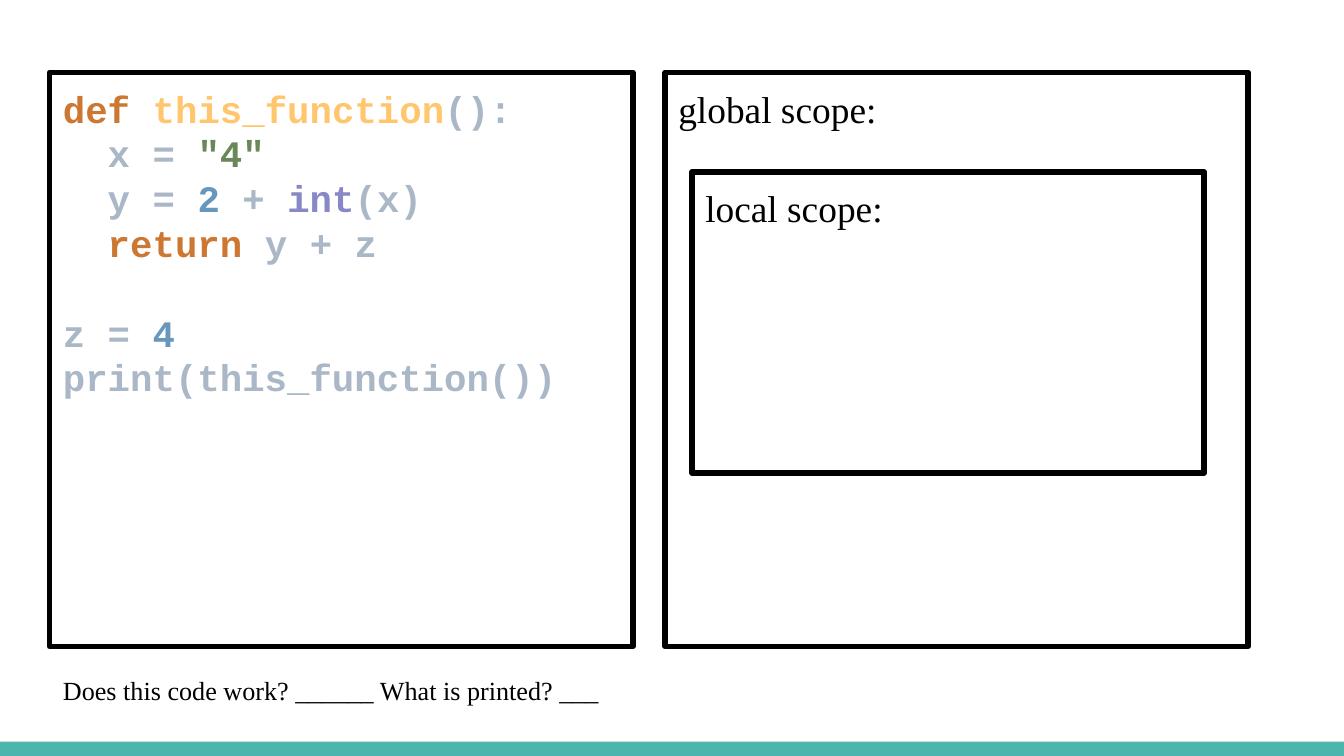
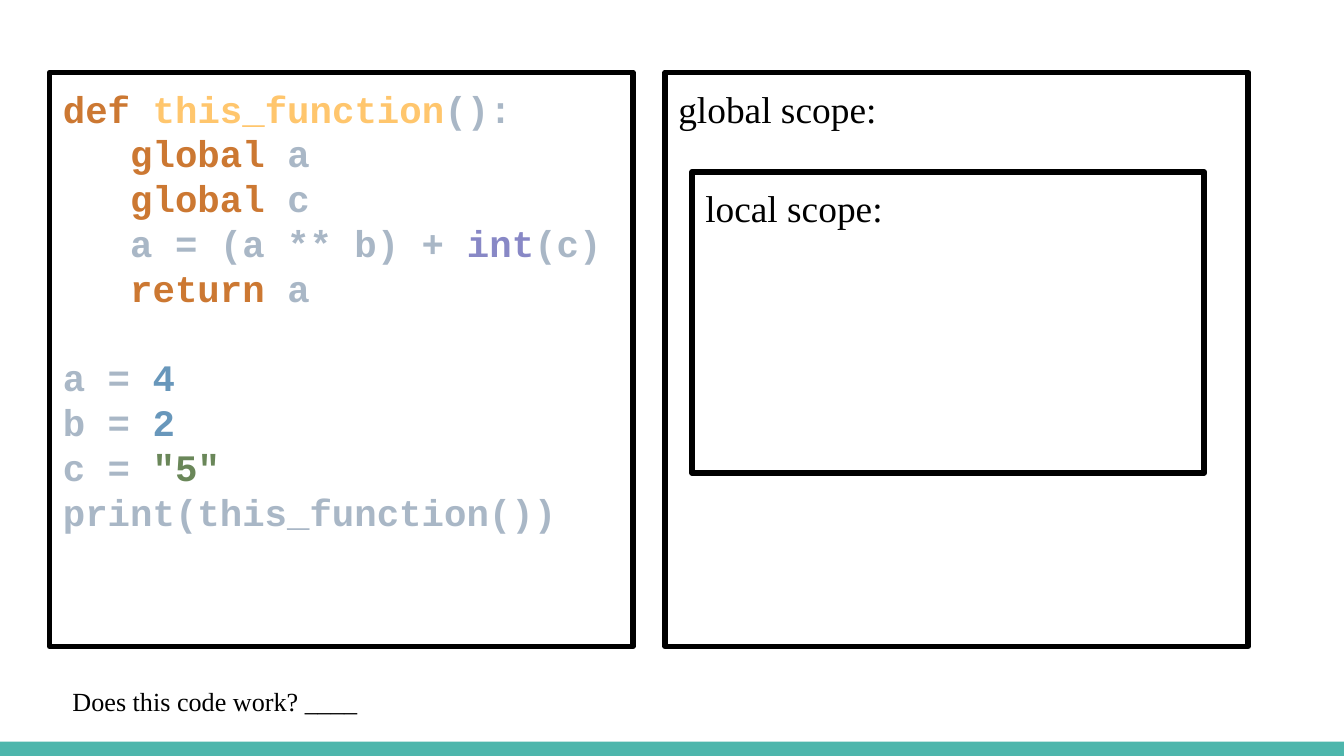
from pptx import Presentation
from pptx.dml.color import RGBColor
from pptx.enum.shapes import MSO_SHAPE as SHAPE
from pptx.enum.text import MSO_ANCHOR as ANCHOR, PP_ALIGN as ALIGN
from pptx.oxml.ns import qn
from pptx.util import Cm, Pt
from lxml import etree

# Colours
BLACK = RGBColor(0x00, 0x00, 0x00)
TEAL = RGBColor(0x4D, 0xB6, 0xAC)
KEYWORD = RGBColor(0xCC, 0x78, 0x32)
FUNCTION = RGBColor(0xFF, 0xC6, 0x6D)
PLAIN = RGBColor(0xA9, 0xB7, 0xC6)
STRING = RGBColor(0x6A, 0x87, 0x59)
NUMBER = RGBColor(0x68, 0x97, 0xBB)
BUILTIN = RGBColor(0x88, 0x88, 0xC6)

# Lengths in centimetres
SLIDE_W, SLIDE_H = 25.4, 14.29
BAND_H = 0.27
PANEL_TOP, PANEL_W, PANEL_H = 1.37, 11.02, 10.85
CODE_LEFT, GLOBAL_LEFT = 0.94, 12.57
LOCAL_BOX = (13.08, 3.25, 9.68, 5.69)
INSET = 0.25

# Code lines shared by both slides; an empty list is an empty line of code
DEF_LINE = [("def ", KEYWORD), ("this_function", FUNCTION), ("():", PLAIN)]
PRINT_LINE = [("print(this_function())", PLAIN)]


def assign(name, value, color):
    return [(f"{name} = ", PLAIN), (value, color)]


def statement(indent, keyword, rest):
    return [(indent + keyword + " ", KEYWORD), (rest, PLAIN)]


class Deck:
    code_font, text_font = "Courier New", "Times New Roman"
    size, small = Pt(20), Pt(14)
    pitch = Pt(24)

    def __init__(self):
        self.prs = Presentation()
        self.prs.slide_width, self.prs.slide_height = Cm(SLIDE_W), Cm(SLIDE_H)
        self.s = None

    def new_slide(self):
        self.s = self.prs.slides.add_slide(self.prs.slide_layouts[6])
        self.band()

    def band(self):
        sp = self.s.shapes.add_shape(SHAPE.RECTANGLE, 0, Cm(SLIDE_H - BAND_H),
                                     Cm(SLIDE_W), Cm(BAND_H))
        sp.shadow.inherit = False
        sp.fill.solid()
        sp.fill.fore_color.rgb = TEAL
        sp.line.fill.background()

    def frame(self, sp):
        tf = sp.text_frame
        tf.word_wrap = True
        tf.vertical_anchor = ANCHOR.TOP
        tf.margin_left = tf.margin_right = Cm(INSET)
        tf.margin_top = tf.margin_bottom = Cm(INSET)
        return tf

    def run(self, p, text, font, size, color, bold=False):
        r = p.add_run()
        r.text = text
        r.font.name, r.font.size, r.font.bold = font, size, bold
        r.font.color.rgb = color

    def panel(self, left, top, width, height):
        sp = self.s.shapes.add_shape(SHAPE.RECTANGLE, Cm(left), Cm(top),
                                     Cm(width), Cm(height))
        sp.shadow.inherit = False
        sp.fill.background()
        sp.line.color.rgb = BLACK
        sp.line.width = Pt(3)
        etree.SubElement(sp.line._get_or_add_ln(), qn("a:round"))
        return self.frame(sp)

    def scope(self, label, *box):
        p = self.panel(*box).paragraphs[0]
        p.alignment = ALIGN.LEFT
        self.run(p, label, self.text_font, self.size, BLACK)

    def code(self, lines, *box):
        tf = self.panel(*box)
        p, gap = tf.paragraphs[0], 0
        for i, line in enumerate(lines):
            if not line:
                gap += self.pitch
                continue
            if i:
                p = tf.add_paragraph()
            p.alignment = ALIGN.LEFT
            p.line_spacing = self.pitch
            p.space_before, gap = Pt(gap / Pt(1)), 0
            for text, color in line:
                self.run(p, text, self.code_font, self.size, color, True)

    def question(self, text, left, top, width, height):
        sp = self.s.shapes.add_textbox(Cm(left), Cm(top), Cm(width), Cm(height))
        p = self.frame(sp).paragraphs[0]
        self.run(p, text, self.text_font, self.small, BLACK)

    def exercise(self, lines, question, question_box):
        self.new_slide()
        self.code(lines, CODE_LEFT, PANEL_TOP, PANEL_W, PANEL_H)
        self.scope("global scope:", GLOBAL_LEFT, PANEL_TOP, PANEL_W, PANEL_H)
        self.scope("local scope:", *LOCAL_BOX)
        self.question(question, *question_box)


def main():
    deck = Deck()

    # Slide 1: a function that reads a global
    deck.exercise(
        [DEF_LINE,
         assign("  x", '"4"', STRING),
         [("  y = ", PLAIN), ("2 ", NUMBER), ("+ ", PLAIN),
          ("int", BUILTIN), ("(x)", PLAIN)],
         statement("  ", "return", "y + z"),
         [],
         assign("z", "4", NUMBER),
         PRINT_LINE],
        "Does this code work? ______ What is printed? ___",
        (CODE_LEFT, 12.5, PANEL_W, 1.04))

    # Slide 2: a function that changes globals
    deck.exercise(
        [DEF_LINE,
         statement("   ", "global", "a"),
         statement("   ", "global", "c"),
         [("   a = (a ** b) + ", PLAIN), ("int", BUILTIN), ("(c)", PLAIN)],
         statement("   ", "return", "a"),
         [],
         assign("a", "4", NUMBER),
         assign("b", "2", NUMBER),
         assign("c", '"5"', STRING),
         PRINT_LINE],
        "Does this code work? ____",
        (1.12, 12.7, PANEL_W, 1.24))

    deck.prs.save("out.pptx")


if __name__ == "__main__":
    main()
